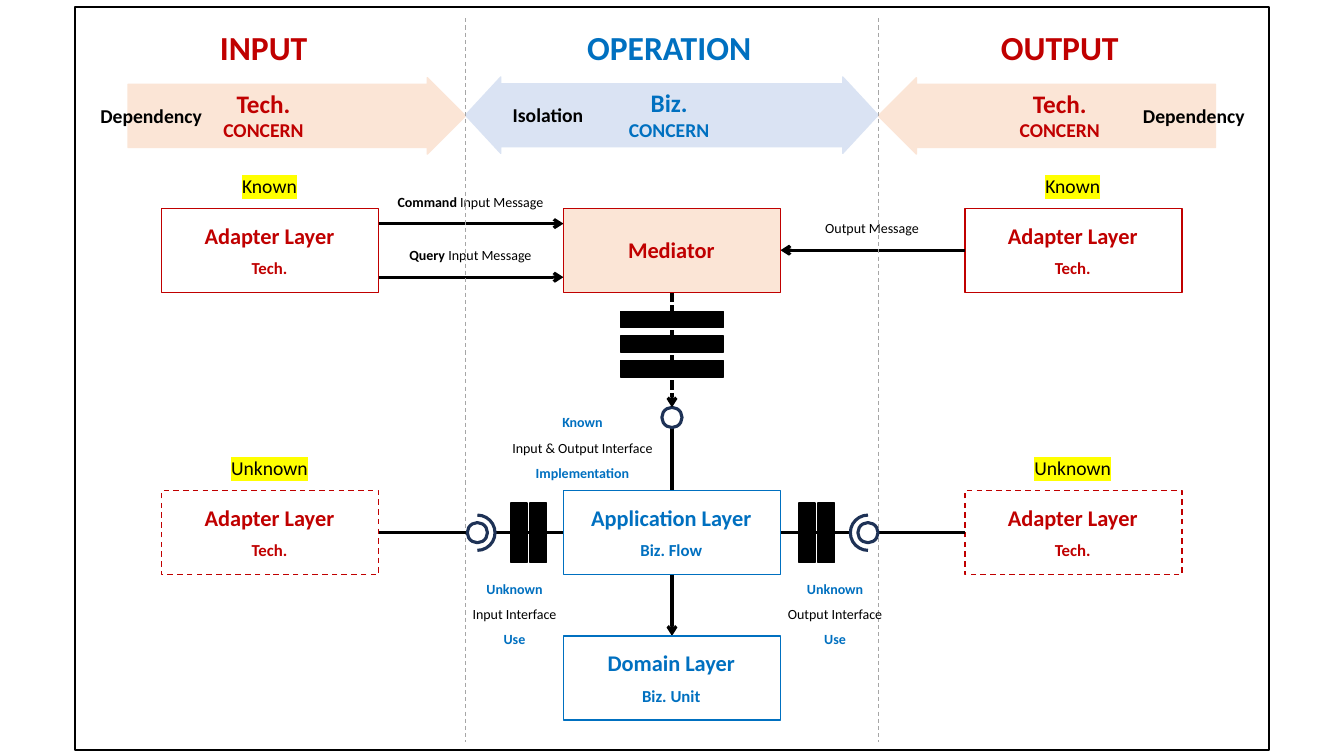
from lxml.etree import SubElement
from pptx import Presentation
from pptx.dml.color import RGBColor
from pptx.enum.dml import MSO_LINE
from pptx.enum.shapes import MSO_CONNECTOR, MSO_SHAPE
from pptx.enum.text import PP_ALIGN
from pptx.oxml.ns import qn
from pptx.util import Pt

BLACK = RGBColor(0x00, 0x00, 0x00)
WHITE = RGBColor(0xFF, 0xFF, 0xFF)
RED = RGBColor(0xC0, 0x00, 0x00)
BLUE = RGBColor(0x00, 0x70, 0xC0)
NAVY = RGBColor(0x1E, 0x32, 0x56)
PEACH = RGBColor(0xFB, 0xE5, 0xD6)
PALE_BLUE = RGBColor(0xDA, 0xE3, 0xF3)
GREY = RGBColor(0xA6, 0xA6, 0xA6)

CARD_W, CARD_H = 155, 60
LEFT_X, CENTRE_X, RIGHT_X = 115.5, 402.5, 689.25
TOP_Y, MIDDLE_Y, BOTTOM_Y = 149, 350.5, 454.25
DIVIDERS = (332.5, 627.25)
AXIS_X, AXIS_Y = CENTRE_X + CARD_W / 2, MIDDLE_Y + CARD_H / 2
QUARTER, THREE_QUARTERS = 54, 162  # arc angles: 0.6 units to a degree


def add_outline(page, kind, box, fill=None, line=BLACK, weight=1, dash=None):
    shape = page.shapes.add_shape(kind, *map(Pt, box))
    shape.shadow.inherit = False
    if fill is None:
        shape.fill.background()
    else:
        shape.fill.solid()
        shape.fill.fore_color.rgb = fill
    shape.line.color.rgb = line
    shape.line.width = Pt(weight)
    if dash is not None:
        shape.line.dash_style = dash
    return shape


def add_line(page, start, end, colour=BLACK, weight=2.25, dash=None, arrow=False):
    line = page.shapes.add_connector(MSO_CONNECTOR.STRAIGHT, *map(Pt, start + end))
    line.line.color.rgb = colour
    line.line.width = Pt(weight)
    if dash is not None:
        line.line.dash_style = dash
    properties = line._element.spPr
    if arrow:
        SubElement(properties.find(qn("a:ln")), qn("a:tailEnd"), type="arrow")
    SubElement(properties, qn("a:effectLst"))


def add_label(page, centre, top, size, lines, spacing=None, highlight=None):
    """Each line is a list of (text, size, colour, bold) spans; size is the box's."""
    width, height = size
    box = page.shapes.add_textbox(Pt(centre - width / 2), Pt(top), Pt(width), Pt(height))
    frame = box.text_frame
    frame.word_wrap = False
    for index, spans in enumerate(lines):
        para = frame.add_paragraph() if index else frame.paragraphs[0]
        para.alignment = PP_ALIGN.CENTER
        if spacing:
            para.line_spacing = spacing
        for text, points, colour, bold in spans:
            span = para.add_run()
            span.text = text
            span.font.name = "Calibri"
            span.font.size = Pt(points)
            span.font.bold = bold
            span.font.color.rgb = colour
            if highlight:
                mark = SubElement(span._r.rPr, qn("a:highlight"))
                SubElement(mark, qn("a:srgbClr"), val=highlight)
                span._r.rPr.find(qn("a:solidFill")).addnext(mark)


def add_band(page, box, kind, adjustments, fill, colour, texts, centres, turn=0):
    """Header of a column: title, arrow, concern and side word."""
    title, concern, side = texts
    text_centre, side_centre = centres
    top = box[1]
    arrow = add_outline(page, kind, box, fill, fill)
    arrow.rotation = turn
    for index, value in enumerate(adjustments):
        arrow.adjustments[index] = value
    add_label(page, text_centre, top - 39.5, (132, 36), [[(title, 24, colour, True)]])
    add_label(page, text_centre, top + 3.75, (73, 46),
              [[(concern, 18, colour, True)], [("CONCERN", 14, colour, True)]])
    add_label(page, side_centre, top + 15.25, (88, 24.5), [[(side, 14, BLACK, True)]])


def add_card(page, x, y, name, note, colour, fill=None, dash=None, status=None):
    centre = x + CARD_W / 2 - 0.5
    add_outline(page, MSO_SHAPE.RECTANGLE, (x, y, CARD_W, CARD_H), fill, colour, 1, dash)
    name_top = y + (6 if note else 16)
    add_label(page, centre, name_top, (130, 26.5), [[(name, 16, colour, True)]])
    if note:
        add_label(page, centre, y + 31.75, (60, 21.5), [[(note, 12, colour, True)]])
    if status:
        add_label(page, centre, y - 28.5, (70, 24.5),
                  [[(status, 14, BLACK, False)]], highlight="FFFF00")


def add_message(page, start_x, end_x, y, strong, plain):
    add_line(page, (start_x, y), (end_x, y), arrow=True)
    spans = [(strong, 10, BLACK, True)] if strong else []
    spans.append((plain, 10, BLACK, False))
    add_label(page, (start_x + end_x) / 2 - 0.5, y - 25.25, (120, 19.5), [spans])


def add_socket(page, centre, angles):
    """Ball inside a half ring that runs clockwise between two angles."""
    ring, ball = 25.2, 14.4
    arc = add_outline(page, MSO_SHAPE.ARC,
                      (centre - ring / 2, AXIS_Y - ring / 2, ring, ring), None, NAVY, 2.25)
    arc.adjustments[0], arc.adjustments[1] = angles
    add_outline(page, MSO_SHAPE.OVAL,
                (centre - ball / 2, AXIS_Y - ball / 2, ball, ball), None, NAVY, 2.25)


def add_bars(page, first, count, step_x, step_y):
    x, y, width, height = first
    for index in range(count):
        add_outline(page, MSO_SHAPE.RECTANGLE,
                    (x + index * step_x, y + index * step_y, width, height), BLACK)


def add_interface(page, centre, top, first, middle, last):
    add_label(page, centre, top, (130, 62),
              [[(first, 10, BLUE, True)], [(middle, 10, BLACK, False)],
               [(last, 10, BLUE, True)]], spacing=1.5)


def add_headers(page):
    side = (0.827, 0.5)
    left, right = DIVIDERS
    add_band(page, (right, 55.5, 241, 54.5), MSO_SHAPE.RIGHT_ARROW, side, PEACH, RED,
             ("OUTPUT", "Tech.", "Dependency"), (757, 852.75), 180)
    add_band(page, (91.5, 55.5, 241, 54.5), MSO_SHAPE.RIGHT_ARROW, side, PEACH, RED,
             ("INPUT", "Tech.", "Dependency"), (188.25, 108))
    add_band(page, (left, 55, right - left, 54.5), MSO_SHAPE.LEFT_RIGHT_ARROW,
             (0.824, 0.463), PALE_BLUE, BLUE,
             ("OPERATION", "Biz.", "Isolation"), (478, 391.5))


def add_adapters(page):
    for x in (LEFT_X, RIGHT_X):
        add_card(page, x, TOP_Y, "Adapter Layer", "Tech.", RED, status="Known")
        add_card(page, x, MIDDLE_Y, "Adapter Layer", "Tech.", RED, WHITE,
                 MSO_LINE.DASH, "Unknown")


def add_messages(page):
    input_x, output_x = LEFT_X + CARD_W, CENTRE_X + CARD_W
    add_message(page, input_x, CENTRE_X, 159.75, "Command", " Input Message")
    add_message(page, input_x, CENTRE_X, 198, "Query ", "Input Message")
    add_message(page, RIGHT_X, output_x, 178.75, "", "Output Message")


def add_side_links(page):
    # Sides: outer line, inner line, socket centre, half ring, first bar, note
    sides = (
        ((LEFT_X + CARD_W, 334), (353.5, CENTRE_X), 341, (THREE_QUARTERS, QUARTER),
         365, 367.5, "Input Interface"),
        ((RIGHT_X, 627), (607, CENTRE_X + CARD_W), 620, (QUARTER, THREE_QUARTERS),
         570.75, 596.5, "Output Interface"),
    )
    for outer, inner, socket, angles, bar, note, words in sides:
        for start, end in (outer, inner):
            add_line(page, (start, AXIS_Y), (end, AXIS_Y))
        add_socket(page, socket, angles)
        add_bars(page, (bar, AXIS_Y - 21.25, 11.5, 42.5), 2, 13.7, 0)
        add_interface(page, note, 404.75, "Unknown", words, "Use")


def add_operation(page):
    ball, ball_top = 14.4, 291
    add_line(page, (AXIS_X, MIDDLE_Y), (AXIS_X, ball_top + ball))
    add_outline(page, MSO_SHAPE.OVAL, (AXIS_X - ball / 2, ball_top, ball, ball),
                WHITE, NAVY, 2.25)
    add_card(page, CENTRE_X, TOP_Y, "Mediator", "", RED, PEACH)
    add_line(page, (AXIS_X, TOP_Y + CARD_H), (AXIS_X, ball_top),
             dash=MSO_LINE.SQUARE_DOT, arrow=True)
    add_bars(page, (AXIS_X - 36.75, 222.5, 73.5, 11.5), 3, 0, 17.6)
    add_interface(page, 416, 286, "Known", "Input & Output Interface", "Implementation")
    add_card(page, CENTRE_X, MIDDLE_Y, "Application Layer", "Biz. Flow", BLUE, WHITE)
    add_line(page, (AXIS_X, MIDDLE_Y + CARD_H), (AXIS_X, BOTTOM_Y), arrow=True)
    add_card(page, CENTRE_X, BOTTOM_Y, "Domain Layer", "Biz. Unit", BLUE, WHITE)


def main():
    deck = Presentation()
    deck.slide_width, deck.slide_height = Pt(960), Pt(540)
    page = deck.slides.add_slide(deck.slide_layouts[6])
    add_outline(page, MSO_SHAPE.RECTANGLE, (53.5, 5, 853, 530.5), weight=1.5)
    add_headers(page)
    add_adapters(page)
    add_messages(page)
    for x in DIVIDERS:
        add_line(page, (x, 13), (x, 530), GREY, 0.75, MSO_LINE.DASH)
    add_side_links(page)
    add_operation(page)
    deck.save("out.pptx")


if __name__ == "__main__":
    main()
